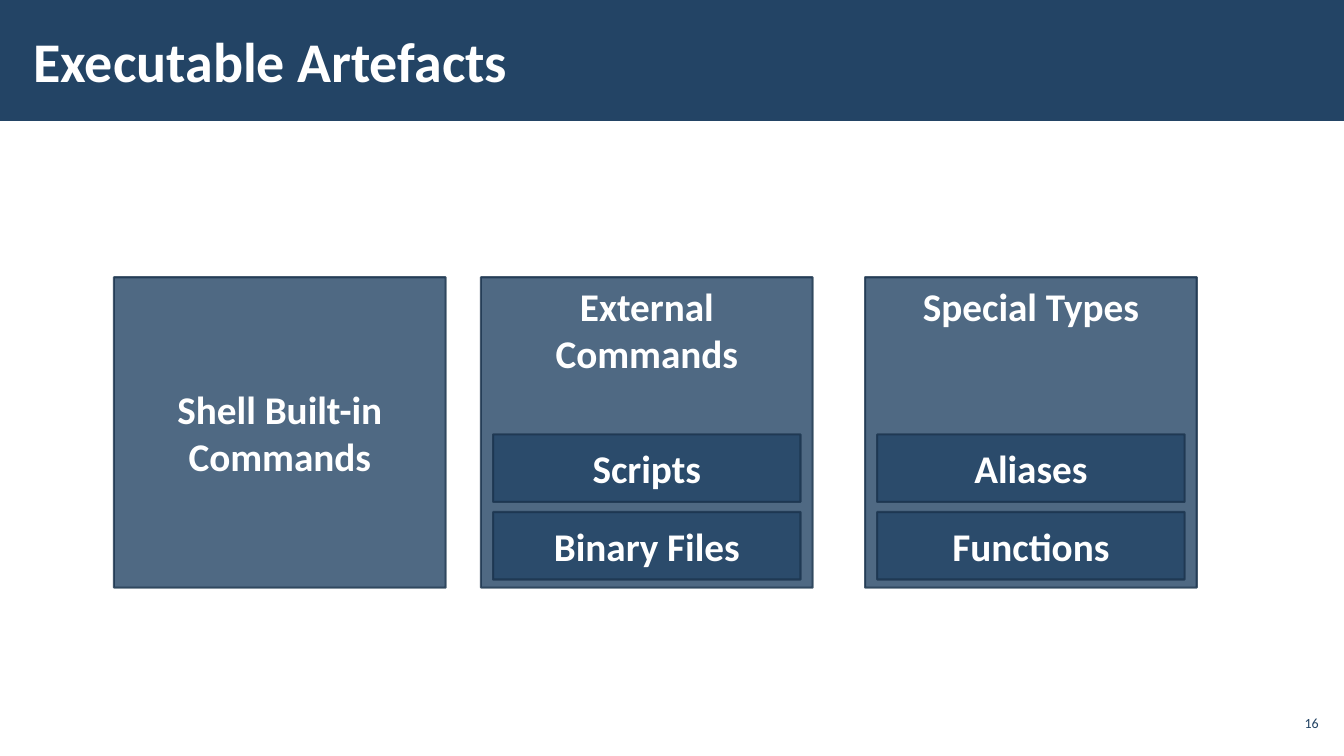
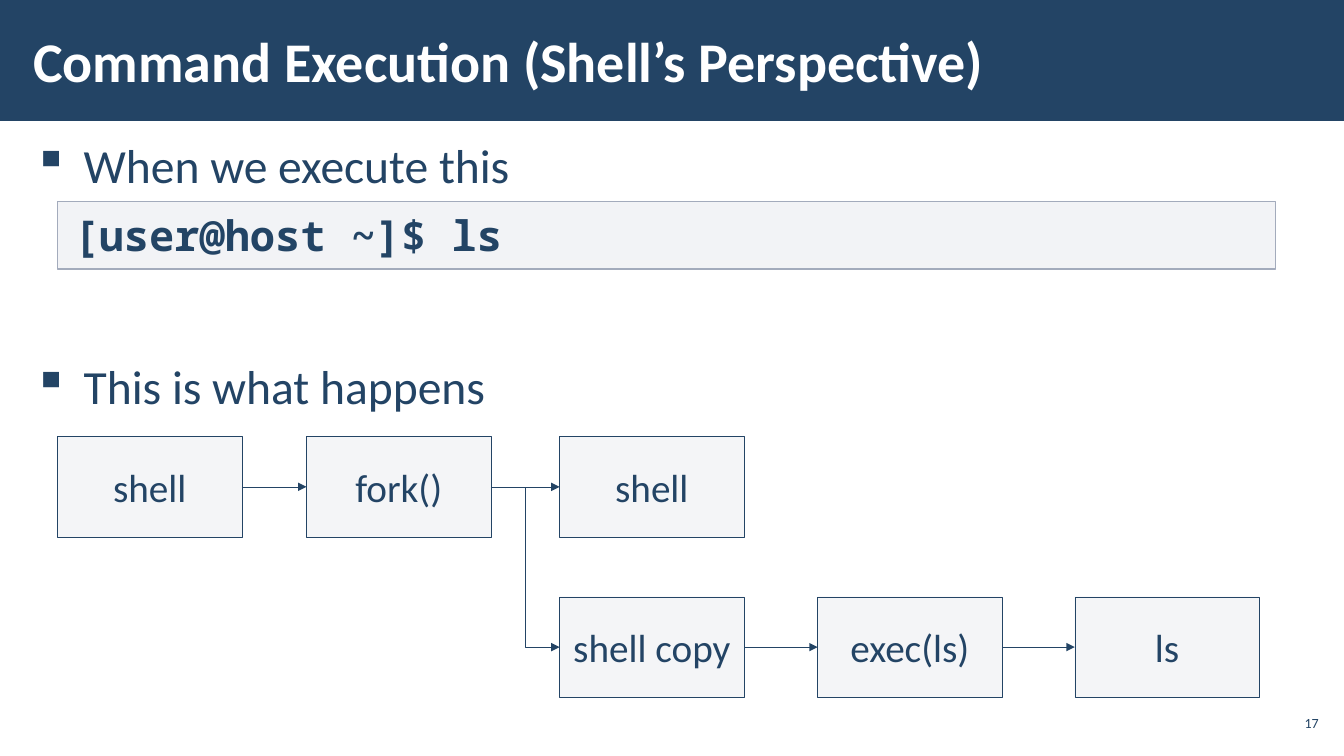
from dataclasses import dataclass

from lxml.etree import SubElement
from pptx import Presentation
from pptx.dml.color import RGBColor
from pptx.enum.shapes import MSO_CONNECTOR, MSO_SHAPE
from pptx.enum.text import MSO_ANCHOR, MSO_AUTO_SIZE, PP_ALIGN
from pptx.oxml.ns import qn
from pptx.util import Inches, Pt

NAVY = RGBColor(0x23, 0x44, 0x65)
DARK = RGBColor(0x1A, 0x33, 0x4C)
WHITE = RGBColor(0xFF, 0xFF, 0xFF)
PALE = RGBColor(0xF4, 0xF5, 0xF7)
GREY = RGBColor(0xC2, 0xC7, 0xD2)
EDGE = RGBColor(0xA3, 0xAB, 0xBC)

FONTS = {
    "title": {"name": "Calibri", "size": Pt(40), "bold": True, "color": WHITE},
    "panel": {"name": "Calibri", "size": Pt(28), "bold": True, "color": WHITE},
    "step": {"name": "Calibri", "size": Pt(28), "bold": False, "color": NAVY},
    "bullet": {"name": "Calibri", "size": Pt(34), "bold": False, "color": NAVY},
    "page": {"name": "Calibri", "size": Pt(10), "bold": False, "color": NAVY},
    "code": {"name": "Noto Sans Mono", "size": Pt(30), "bold": True, "color": NAVY},
}


@dataclass(frozen=True)
class Look:
    fill: RGBColor
    line: RGBColor
    width: float
    font: str
    fill_alpha: int = 100
    line_alpha: int = 100


PANEL = Look(NAVY, DARK, 1.5, "panel", 80, 80)
STEP = Look(PALE, NAVY, 0.25, "step")
CODE = Look(GREY, EDGE, 1, "code", 20)


@dataclass(frozen=True)
class Group:
    left: float
    title: str
    kinds: tuple[str, ...] = ()


@dataclass(frozen=True)
class Step:
    text: str
    col: int
    row: int


GROUPS = (
    Group(1.13, "Shell Built-in Commands"),
    Group(4.77, "External Commands", ("Scripts", "Binary Files")),
    Group(8.58, "Special Types", ("Aliases", "Functions")),
)
COLS = (0.57, 3.04, 5.55, 8.11, 10.66)
ROWS = (4.33, 5.92)
STEPS = (
    Step("shell", 0, 0),
    Step("fork()", 1, 0),
    Step("shell", 2, 0),
    Step("shell copy", 2, 1),
    Step("exec(ls)", 3, 1),
    Step("ls", 4, 1),
)
LINKS = ((0, 1), (1, 2), (1, 3), (3, 4), (4, 5))


def set_font(font, kind: str) -> None:
    for key, value in FONTS[kind].items():
        if key == "color":
            font.color.rgb = value
        else:
            setattr(font, key, value)


def set_frame(frame, inset: tuple[float, float], anchor) -> None:
    side, end = (Inches(gap) for gap in inset)
    values = {
        "word_wrap": True, "auto_size": MSO_AUTO_SIZE.NONE, "vertical_anchor": anchor,
        "margin_left": side, "margin_right": side, "margin_top": end, "margin_bottom": end,
    }
    for key, value in values.items():
        setattr(frame, key, value)


def write(frame, text: str, kind: str, align=PP_ALIGN.LEFT) -> None:
    para = frame.paragraphs[0]
    para.alignment = align
    run = para.add_run()
    run.text = text
    set_font(run.font, kind)


def set_alpha(owner, percent: int) -> None:
    """Make the solid fill of a shape or line element partly transparent."""
    if percent < 100:
        color = owner.find(qn("a:solidFill"))[0]
        SubElement(color, qn("a:alpha"), val=str(percent * 1000))


def add_box(slide, at: tuple[float, float, float, float], text: str, look: Look,
            align=PP_ALIGN.CENTER, anchor=MSO_ANCHOR.MIDDLE, inset=(0.1, 0.05)):
    box = slide.shapes.add_shape(MSO_SHAPE.RECTANGLE, *map(Inches, at))
    box.shadow.inherit = False
    box.fill.solid()
    box.fill.fore_color.rgb = look.fill
    box.line.color.rgb = look.line
    box.line.width = Pt(look.width)
    props = box._element.spPr
    set_alpha(props, look.fill_alpha)
    set_alpha(props.find(qn("a:ln")), look.line_alpha)
    set_frame(box.text_frame, inset, anchor)
    write(box.text_frame, text, look.font, align)
    return box


def add_arrow(slide, start, end) -> None:
    """Join the right side of one box to the left side of another."""
    kind = MSO_CONNECTOR.STRAIGHT if start.top == end.top else MSO_CONNECTOR.ELBOW
    arrow = slide.shapes.add_connector(kind, 0, 0, 0, 0)
    arrow.begin_connect(start, 3)
    arrow.end_connect(end, 1)
    arrow.line.color.rgb = NAVY
    arrow.line.width = Pt(0.25)
    props = arrow._element.spPr
    SubElement(props.find(qn("a:ln")), qn("a:tailEnd"), type="triangle")
    SubElement(props, qn("a:effectLst"))


def add_band(deck, layout) -> None:
    """Put the title band behind everything on the shared layout."""
    slide = deck.slides[0]
    band = slide.shapes.add_shape(MSO_SHAPE.RECTANGLE, 0, 0, deck.slide_width, Inches(1.2))
    band.shadow.inherit = False
    band.fill.solid()
    band.fill.fore_color.rgb = NAVY
    band.line.fill.background()
    layout.shapes.element.insert(2, band._element)


def add_slide(deck, layout, title: str, page: int):
    slide = deck.slides.add_slide(layout)
    head = slide.shapes.title
    head.left, head.top, head.width, head.height = map(Inches, (0.21, 0.11, 10.39, 0.97))
    set_frame(head.text_frame, (0.12, 0.04), MSO_ANCHOR.MIDDLE)
    write(head.text_frame, title, "title")
    foot = slide.shapes.add_textbox(*map(Inches, (12.65, 7, 0.47, 0.34)))
    set_frame(foot.text_frame, (0.04, 0.04), MSO_ANCHOR.MIDDLE)
    write(foot.text_frame, str(page), "page", PP_ALIGN.RIGHT)
    return slide


def add_bullets(slide, lines: tuple[str, ...], gap: float) -> None:
    box = slide.shapes.add_textbox(*map(Inches, (0.21, 1.31, 12.92, 5.69)))
    frame = box.text_frame
    set_frame(frame, (0.12, 0.04), MSO_ANCHOR.TOP)
    for index, line in enumerate(lines):
        para = frame.add_paragraph() if index else frame.paragraphs[0]
        if index:
            para.space_before = Pt(gap)
        props = para._p.get_or_add_pPr()
        props.set("marL", str(Inches(0.5)))
        props.set("indent", str(Inches(-0.5)))
        SubElement(props, qn("a:buChar"), char="▪")
        run = para.add_run()
        run.text = line
        set_font(run.font, "bullet")


def draw_groups(slide) -> None:
    top, width, height, pad = 2.75, 3.29, 3.08, 0.12
    for group in GROUPS:
        anchor = MSO_ANCHOR.TOP if group.kinds else MSO_ANCHOR.MIDDLE
        add_box(slide, (group.left, top, width, height), group.title, PANEL, anchor=anchor)
        for row, kind in enumerate(group.kinds):
            at = (group.left + pad, 4.31 + 0.77 * row, width - 2 * pad, 0.67)
            add_box(slide, at, kind, PANEL)


def draw_flow(slide) -> None:
    add_bullets(slide, ("When we execute this", "This is what happens"), 117)
    add_box(slide, (0.57, 2, 12.08, 0.67), "[user@host ~]$ ls", CODE,
            PP_ALIGN.LEFT, MSO_ANCHOR.TOP, (0.16, 0.08))
    boxes = [add_box(slide, (COLS[step.col], ROWS[step.row], 1.83, 1), step.text, STEP)
             for step in STEPS]
    for start, end in LINKS:
        add_arrow(slide, boxes[start], boxes[end])


def main() -> None:
    deck = Presentation()
    deck.slide_width, deck.slide_height = Inches(13.33), Inches(7.5)
    layout = deck.slide_layouts[5]
    draw_groups(add_slide(deck, layout, "Executable Artefacts", 16))
    draw_flow(add_slide(deck, layout, "Command Execution (Shell’s Perspective)", 17))
    add_band(deck, layout)
    deck.save("out.pptx")


if __name__ == "__main__":
    main()
